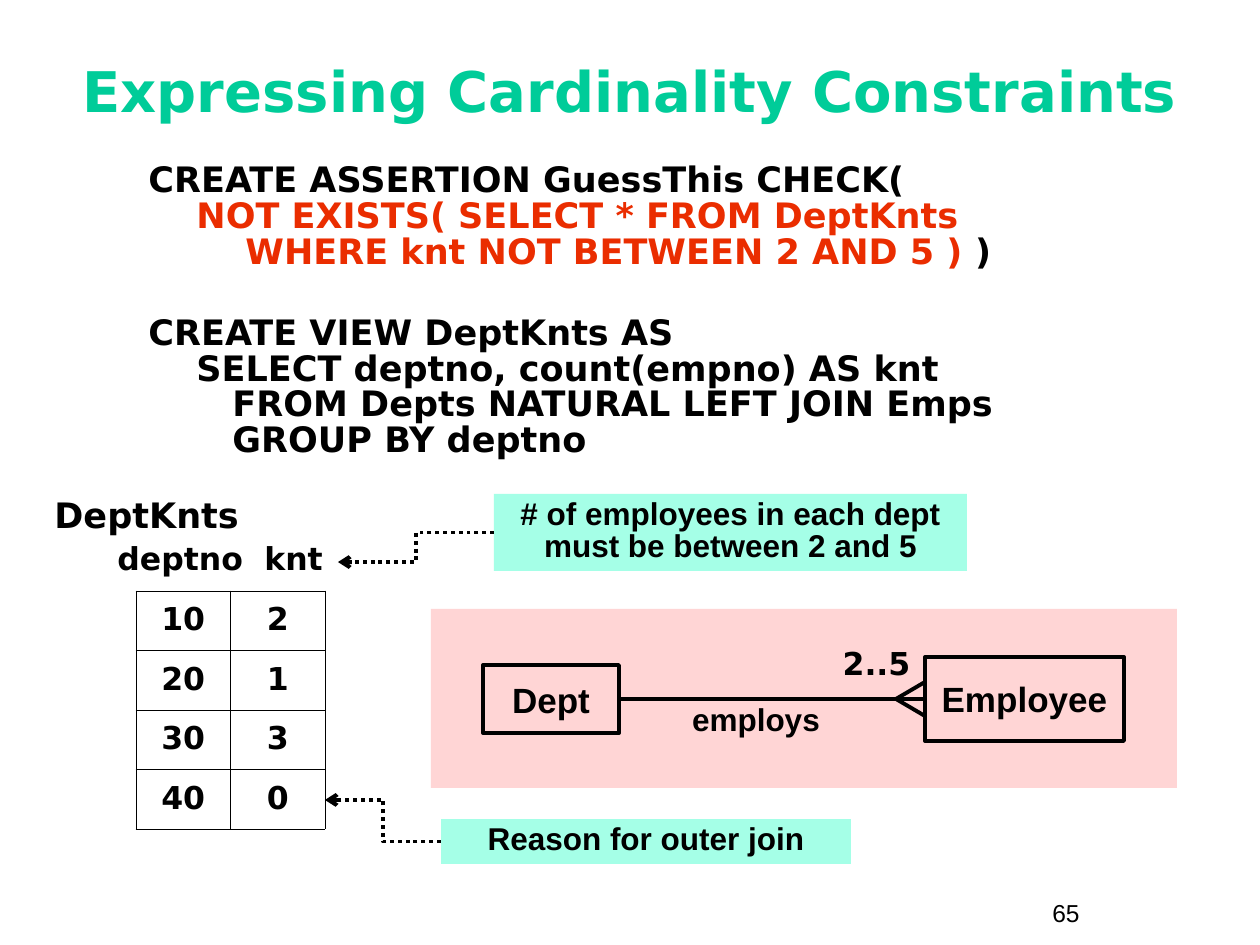
from lxml.etree import SubElement
from pptx import Presentation
from pptx.dml.color import RGBColor
from pptx.enum.dml import MSO_LINE as Dash
from pptx.enum.shapes import MSO_CONNECTOR as Conn, MSO_SHAPE as Shape
from pptx.enum.text import MSO_ANCHOR as Anchor, PP_ALIGN as Align
from pptx.oxml.ns import qn
from pptx.util import Emu, Pt

BLACK = RGBColor(0, 0, 0)
GREEN = RGBColor(0x00, 0xCC, 0x99)
RED = RGBColor(0xEA, 0x2D, 0x00)
MINT = RGBColor(0xA5, 0xFF, 0xE7)
PINK = RGBColor(0xFF, 0xD5, 0xD5)
SANS, ARIAL = "DejaVu Sans", "Arial"

TITLE = "Expressing Cardinality Constraints"
# Each line: indent in px, then runs of (text, colour)
CHECK = [
    (0, [("CREATE ASSERTION GuessThis CHECK(", BLACK)]),
    (48, [("NOT EXISTS( SELECT * FROM DeptKnts", RED)]),
    (97, [("WHERE knt NOT BETWEEN 2 AND 5 )", RED), (" )", BLACK)]),
]
VIEW = [
    (0, [("CREATE VIEW DeptKnts AS", BLACK)]),
    (48, [("SELECT deptno, count(empno) AS knt", BLACK)]),
    (84, [("FROM Depts NATURAL LEFT JOIN Emps", BLACK)]),
    (84, [("GROUP BY deptno", BLACK)]),
]
COUNTS = [(10, 2), (20, 1), (30, 3), (40, 0)]
# Text, box, format
LABELS = [
    (TITLE, (42, 32, 1176, 116),
     dict(size=32, color=GREEN, align=Align.CENTER, anchor=Anchor.MIDDLE)),
    ("DeptKnts", (42, 494, 336, 49), dict(size=20, space=0.85)),
    ("deptno\tknt", (105, 539, 232, 45), dict(space=0.85, tab=147)),
    ("employs", (651, 694, 210, 50), dict(font=ARIAL, align=Align.CENTER)),
    ("2..5", (829, 638, 95, 50), dict(align=Align.CENTER)),
    ("65", (1040, 892, 116, 43), dict(font=ARIAL, size=14, bold=False)),
]
# Text, box, arrow tip
NOTES = [
    ("# of employees in each dept must be between 2 and 5",
     (494, 494, 473, 77), (338, 562)),
    ("Reason for outer join", (441, 819, 410, 45), (325, 800)),
]
TABLE = (136, 591, 189, 238)
PANEL = (431, 609, 746, 179)
DEPT = (483, 665, 136, 68)
EMP = (925, 657, 199, 84)
FOOT, SPREAD = 29, 17


def px(n):
    return Emu(round(n * 914400 / 126))


deck = Presentation()
deck.slide_width, deck.slide_height = px(1260), px(945)
slide = deck.slides.add_slide(deck.slide_layouts[6])
shapes = slide.shapes


def write(frame, lines, font=SANS, size=18, color=BLACK, bold=True,
          align=Align.LEFT, anchor=Anchor.TOP, space=1.0, wrap=True, tab=0):
    """Fill a frame with a string, or with (indent, runs) lines."""
    if isinstance(lines, str):
        lines = [(0, [(lines, color)])]
    frame.word_wrap, frame.vertical_anchor = wrap, anchor
    for i, (indent, runs) in enumerate(lines):
        para = frame.add_paragraph() if i else frame.paragraphs[0]
        para.alignment, para.line_spacing = align, space
        props = para._p.get_or_add_pPr()
        if indent:
            props.set("marL", str(px(indent)))
        if tab:
            stops = SubElement(props, qn("a:tabLst"))
            SubElement(stops, qn("a:tab"), pos=str(px(tab)), algn="l")
        for text, tint in runs:
            run = para.add_run()
            run.text = text
            run.font.name, run.font.size = font, Pt(size)
            run.font.bold, run.font.color.rgb = bold, tint


def label(text, box, **form):
    frame = shapes.add_textbox(*map(px, box)).text_frame
    write(frame, text, **form)
    return frame


def rect(box, fill=None, width=0):
    shape = shapes.add_shape(Shape.RECTANGLE, *map(px, box))
    shape.shadow.inherit = False
    if fill is None:
        shape.fill.background()
    else:
        shape.fill.solid()
        shape.fill.fore_color.rgb = fill
    if width:
        shape.line.color.rgb, shape.line.width = BLACK, Pt(width)
    else:
        shape.line.fill.background()
    return shape


def link(start, end, kind=Conn.STRAIGHT):
    line = shapes.add_connector(kind, *map(px, start + end))
    line.line.color.rgb, line.line.width = BLACK, Pt(2.25)
    SubElement(line._element.spPr, qn("a:effectLst"))
    return line


def border(cell, width):
    props = cell._tc.get_or_add_tcPr()
    for i, side in enumerate("LRTB"):
        edge = props.makeelement(qn(f"a:ln{side}"), {"w": str(Pt(width))})
        fill = SubElement(edge, qn("a:solidFill"))
        SubElement(fill, qn("a:srgbClr"), val=str(BLACK))
        props.insert(i, edge)


def grid(rows, box):
    count, wide = len(rows), len(rows[0])
    table = shapes.add_table(count, wide, *map(px, box)).table
    table.first_row = table.horz_banding = False
    for col in table.columns:
        col.width = px(box[2] / wide)
    for r, row in enumerate(rows):
        table.rows[r].height = px(box[3] / count)
        for c, value in enumerate(row):
            cell = table.cell(r, c)
            write(cell.text_frame, str(value), align=Align.CENTER, space=0.9)
            cell.vertical_anchor = Anchor.MIDDLE
            cell.fill.background()
            border(cell, 0.45)


def entity(name, box):
    shape = rect(box, width=2.25)
    write(shape.text_frame, name, font=ARIAL, size=20, align=Align.CENTER,
          anchor=Anchor.MIDDLE, wrap=False)
    return shape


def note(text, box, tip):
    """Draw a callout with a dotted elbow arrow from its left side."""
    shape = rect(box, MINT)
    write(shape.text_frame, text, font=ARIAL, align=Align.CENTER, space=0.85)
    x, y, _, high = box
    arrow = link((x, y + high / 2), tip, Conn.ELBOW)
    arrow.begin_connect(shape, 1)
    arrow.line.dash_style = Dash.ROUND_DOT
    SubElement(arrow.line._get_or_add_ln(), qn("a:tailEnd"), type="arrow")


rect(PANEL, PINK)
for text, box, form in LABELS:
    label(text, box, **form)
code = label(CHECK + VIEW, (136, 158, 924, 378), size=20, space=0.85)
code.paragraphs[len(CHECK)].space_before = Pt(26)

grid(COUNTS, TABLE)
for item in NOTES:
    note(*item)

dept, emp = entity("Dept", DEPT), entity("Employee", EMP)
mid = EMP[1] + EMP[3] // 2
bond = link((DEPT[0] + DEPT[2], mid), (EMP[0], mid))
bond.begin_connect(dept, 3)
bond.end_connect(emp, 1)
for shift in (-SPREAD, SPREAD):
    link((EMP[0] - FOOT, mid), (EMP[0], mid + shift))

deck.save("out.pptx")
